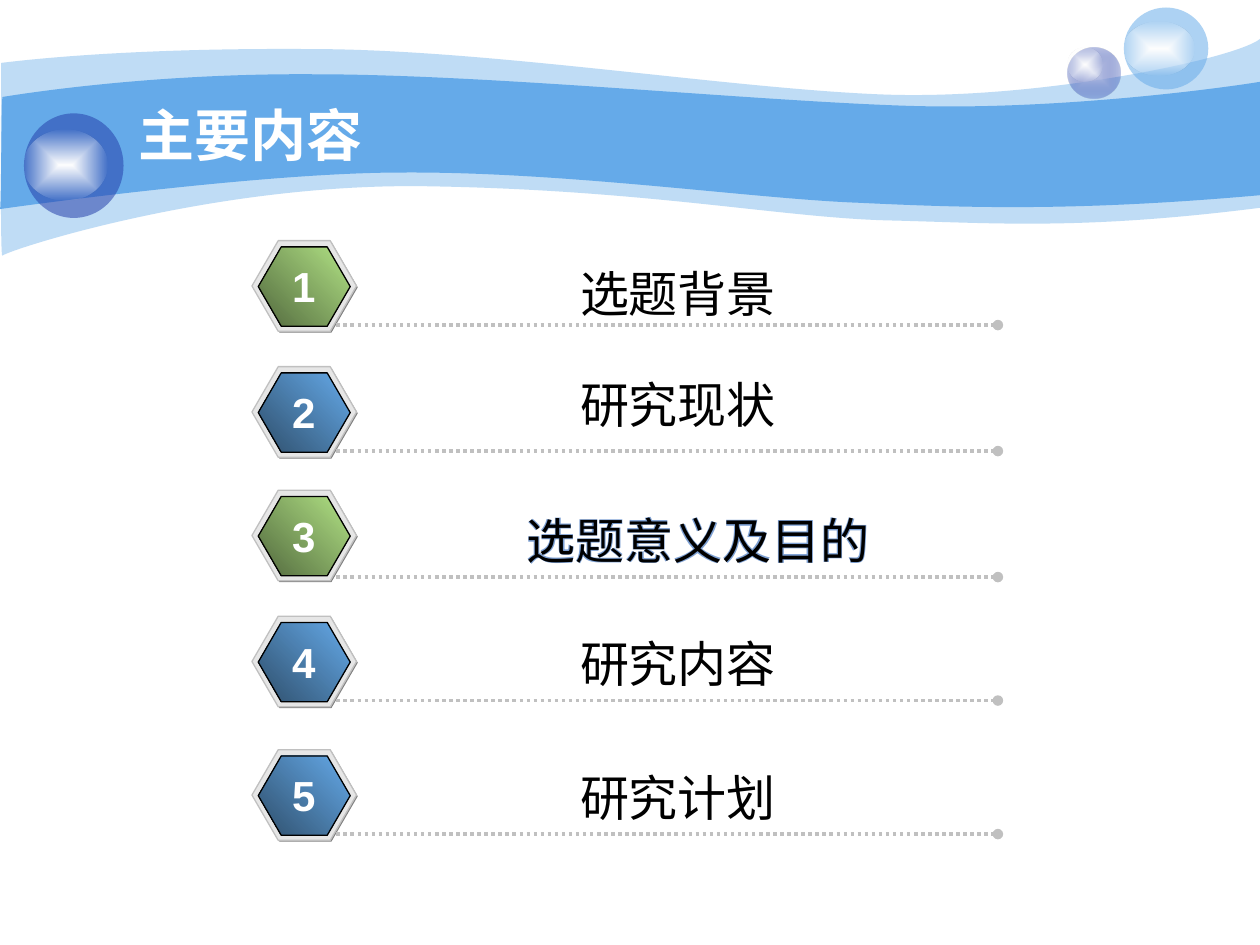
from dataclasses import dataclass
from typing import Optional

from lxml.etree import Element, SubElement
from pptx import Presentation
from pptx.dml.color import RGBColor
from pptx.enum.dml import MSO_LINE
from pptx.enum.shapes import MSO_CONNECTOR, MSO_SHAPE
from pptx.enum.text import MSO_ANCHOR, MSO_AUTO_SIZE, PP_ALIGN
from pptx.oxml import parse_xml
from pptx.oxml.ns import nsdecls, qn
from pptx.util import Inches, Pt


@dataclass(frozen=True)
class Theme:
    font: str = "Arial"
    sky: str = "65AAE9"
    navy: str = "233DA9"
    lilac: str = "C7CEE9"
    white: str = "FFFFFF"
    black: str = "000000"
    echo: str = "7DA0D3"
    rim: str = "E6E6E6"
    shade: str = "808080"
    rule: str = "C0C0C0"
    green: tuple = ("B2E385", "52693E")
    blue: tuple = ("65AAE9", "2F4F6C")
    title_pt: int = 32
    label_pt: int = 28
    number_pt: int = 24


@dataclass(frozen=True)
class Fill:
    color: str
    alpha: int = 100
    end: Optional[str] = None  # second gradient colour
    end_alpha: int = 100
    angle: Optional[int] = None  # None gives a gradient from the centre


@dataclass(frozen=True)
class Orb:
    outer: tuple
    inner: tuple
    fill: Fill


@dataclass(frozen=True)
class Item:
    label: str
    colors: tuple
    hex_top: float
    rule_y: float
    label_top: float
    label_left: float = 2.92
    echo: bool = False


T = Theme()
GLOW = Fill(T.white, end=T.white, end_alpha=0)

# Bands: start point, then cubic curves (6 numbers) or straight lines (2)
PALE_BAND = [
    (0.01, 0.5), (0.25, 0.47, 1.08, 0.38, 2.47, 0.39),
    (3.86, 0.39, 5.76, 0.7, 6.99, 0.75), (8.22, 0.8, 9.8, 0.47, 10, 0.31),
    (10, 1.65), (8.58, 1.83, 7.88, 1.77, 7.05, 1.75),
    (6.22, 1.73, 5.15, 1.51, 3.44, 1.48), (1.72, 1.44, 0.05, 1.99, 0.02, 2.03),
    (0, 2.08, 0.01, 0.75, 0.01, 0.5),
]
BLUE_BAND = [
    (0.02, 0.77), (0.03, 0.77, 1.11, 0.58, 2.49, 0.59),
    (3.87, 0.59, 5.96, 0.8, 7.19, 0.84), (8.41, 0.88, 9.76, 0.69, 10, 0.65),
    (10, 1.55), (8.53, 1.68, 7.66, 1.65, 6.82, 1.61),
    (5.99, 1.58, 4.48, 1.36, 3.18, 1.37), (2.04, 1.37, -0.01, 1.66, 0, 1.66),
    (0.01, 1.66, 0.01, 0.77, 0.02, 0.77),
]
ORBS = [
    Orb((8.47, 0.38, 0.42, 0.4), (8.47, 0.38, 0.28, 0.27),
        Fill(T.lilac, end=T.navy, end_alpha=31)),
    Orb((8.92, 0.06, 0.67, 0.65), (8.92, 0.17, 0.56, 0.43), Fill(T.sky, 53)),
    Orb((0.19, 0.9, 0.79, 0.83), (0.19, 1.03, 0.66, 0.56), Fill(T.navy, 53)),
]
ITEMS = [
    Item("选题背景", T.green, 1.91, 2.58, 2.04),
    Item("研究现状", T.blue, 2.91, 3.58, 2.92),
    Item("选题意义及目的", T.green, 3.89, 4.58, 4, 3.08, True),
    Item("研究内容", T.blue, 4.89, 5.56, 4.98),
    Item("研究计划", T.blue, 5.95, 6.62, 6.04),
]


def paint(sp, fill: Fill, line: Optional[str] = None) -> None:
    sp.shadow.inherit = False
    sp.fill.solid()
    sp.fill.fore_color.rgb = RGBColor.from_string(fill.color)
    solid = sp._element.spPr.find(qn("a:solidFill"))
    if fill.end:
        stops = "".join(
            f'<a:gs pos="{pos}"><a:srgbClr val="{color}">'
            f'<a:alpha val="{alpha * 1000}"/></a:srgbClr></a:gs>'
            for pos, color, alpha in ((0, fill.color, fill.alpha),
                                      (100000, fill.end, fill.end_alpha)))
        if fill.angle is None:
            way = ('<a:path path="rect"><a:fillToRect l="50000" t="50000" '
                   'r="50000" b="50000"/></a:path>')
        else:
            way = f'<a:lin ang="{fill.angle * 60000}" scaled="1"/>'
        grad = parse_xml(f'<a:gradFill {nsdecls("a")} rotWithShape="1">'
                         f'<a:gsLst>{stops}</a:gsLst>{way}</a:gradFill>')
        solid.getparent().replace(solid, grad)
    elif fill.alpha < 100:
        SubElement(solid[0], qn("a:alpha"), val=str(fill.alpha * 1000))
    if line:
        sp.line.color.rgb = RGBColor.from_string(line)
        sp.line.width = Pt(0.75)
    else:
        sp.line.fill.background()


def add_band(s, outline: list, fill: Fill) -> None:
    points = [(Inches(seg[i]), Inches(seg[i + 1]))
              for seg in outline for i in range(0, len(seg), 2)]
    fb = s.shapes.build_freeform(*points[0])
    fb.add_line_segments(points[1:], close=True)
    sp = fb.convert_to_shape()
    # Join each three segments of a curve into one cubic
    lines = iter(list(sp._element.iter(qn("a:lnTo"))))
    for seg in outline[1:]:
        parts = [next(lines) for _ in range(len(seg) // 2)]
        if len(parts) == 3:
            curve = Element(qn("a:cubicBezTo"))
            parts[0].addprevious(curve)
            for part in parts:
                curve.append(part[0])
                part.getparent().remove(part)
    paint(sp, fill)


def add_orb(s, orb: Orb) -> None:
    grp = s.shapes.add_group_shape()
    for box, fill in ((orb.outer, orb.fill), (orb.inner, GLOW)):
        paint(grp.shapes.add_shape(MSO_SHAPE.OVAL, *map(Inches, box)), fill)


def add_badge(s, top: float, colors: tuple) -> None:
    grp = s.shapes.add_group_shape()
    light, dark = colors
    layers = [
        ((2.01, top + 0.01, 0.83, 0.72), Fill(T.shade), None),
        ((2, top, 0.83, 0.72), Fill(T.rim), T.rule),
        ((2.05, top + 0.05, 0.73, 0.63), Fill(light, end=dark, angle=135), T.black),
    ]
    for box, fill, line in layers:
        sp = grp.shapes.add_shape(MSO_SHAPE.HEXAGON, *map(Inches, box))
        sp.adjustments[0] = 0.29
        paint(sp, fill, line)


def add_rule(s, y: float) -> None:
    cx = s.shapes.add_connector(MSO_CONNECTOR.STRAIGHT, Inches(2.67), Inches(y),
                                Inches(7.92), Inches(y))
    cx.line.color.rgb = RGBColor.from_string(T.rule)
    cx.line.width = Pt(2)
    cx.line.dash_style = MSO_LINE.ROUND_DOT
    SubElement(cx.line._get_or_add_ln(), qn("a:tailEnd"), type="oval")
    SubElement(cx._element.spPr, qn("a:effectLst"))


def add_text(s, text: str, box: tuple, size: int, color: str, bold: bool = False,
             align=PP_ALIGN.CENTER, wrap: bool = True, grow: bool = True):
    tf = s.shapes.add_textbox(*map(Inches, box)).text_frame
    tf.word_wrap = wrap
    tf.auto_size = MSO_AUTO_SIZE.SHAPE_TO_FIT_TEXT if grow else MSO_AUTO_SIZE.NONE
    p = tf.paragraphs[0]
    p.text = text
    p.alignment = align
    p.font.name, p.font.size, p.font.bold = T.font, Pt(size), bold
    p.font.color.rgb = RGBColor.from_string(color)
    return tf


def main() -> None:
    prs = Presentation()
    prs.slide_width, prs.slide_height = Inches(10), Inches(7.5)
    s = prs.slides.add_slide(prs.slide_layouts[6])

    # Header
    add_band(s, PALE_BAND, Fill(T.sky, 41))
    add_band(s, BLUE_BAND, Fill(T.sky))
    for orb in ORBS:
        add_orb(s, orb)
    title = add_text(s, "主要内容", (1, 0.88, 8.08, 0.37), T.title_pt, T.white, True,
                     PP_ALIGN.LEFT, grow=False)
    title.vertical_anchor = MSO_ANCHOR.MIDDLE

    # Agenda rows
    for number, item in enumerate(ITEMS, 1):
        add_badge(s, item.hex_top, item.colors)
        add_rule(s, item.rule_y)
        box = (item.label_left, item.label_top, 4.92, 0.57)
        if item.echo:
            add_text(s, item.label, box, T.label_pt, T.echo, True)
        add_text(s, item.label, box, T.label_pt, T.black)
        add_text(s, str(number), (2.22, item.hex_top + 0.11, 0.38, 0.5),
                 T.number_pt, T.white, True, wrap=False)

    prs.save("out.pptx")


if __name__ == "__main__":
    main()
